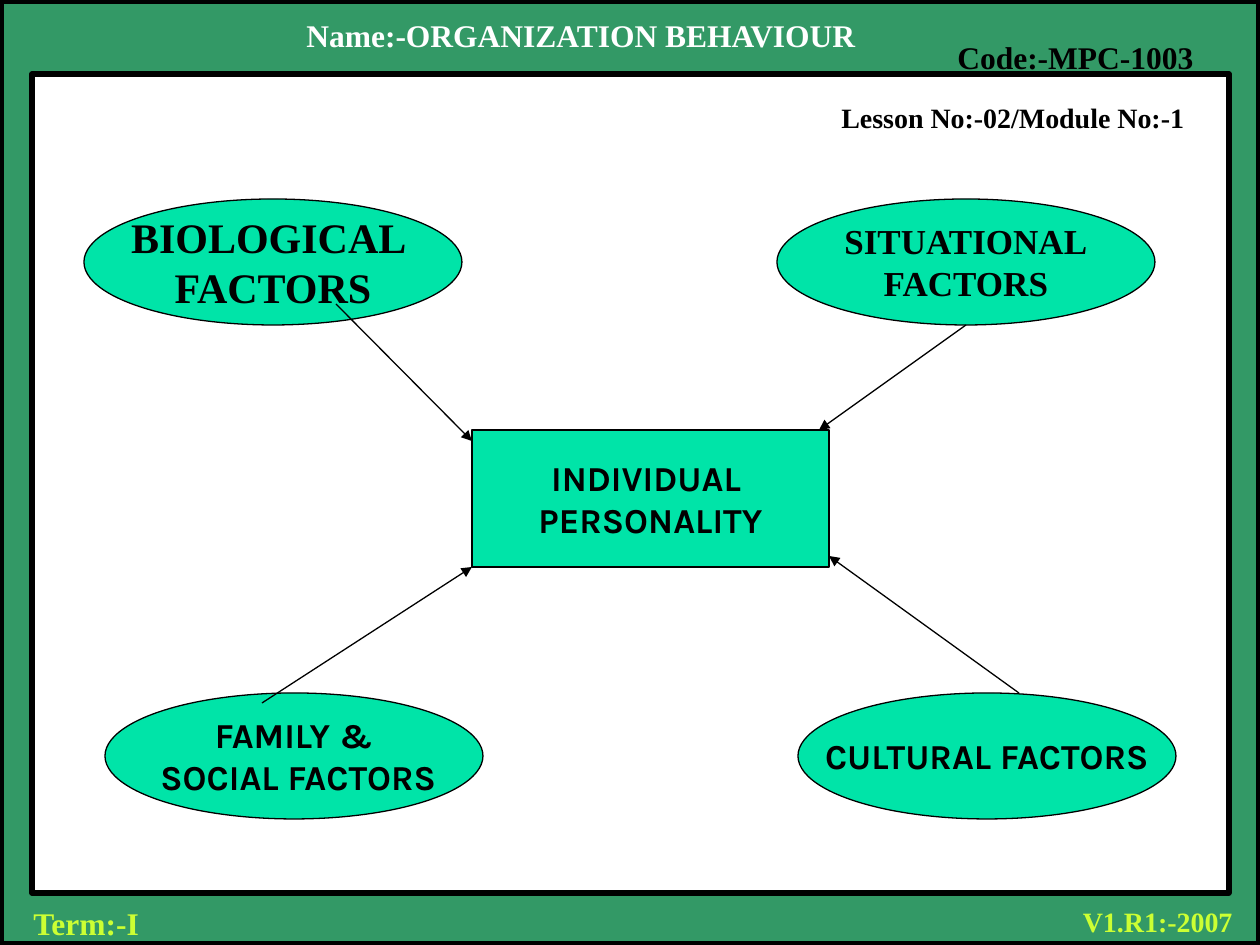
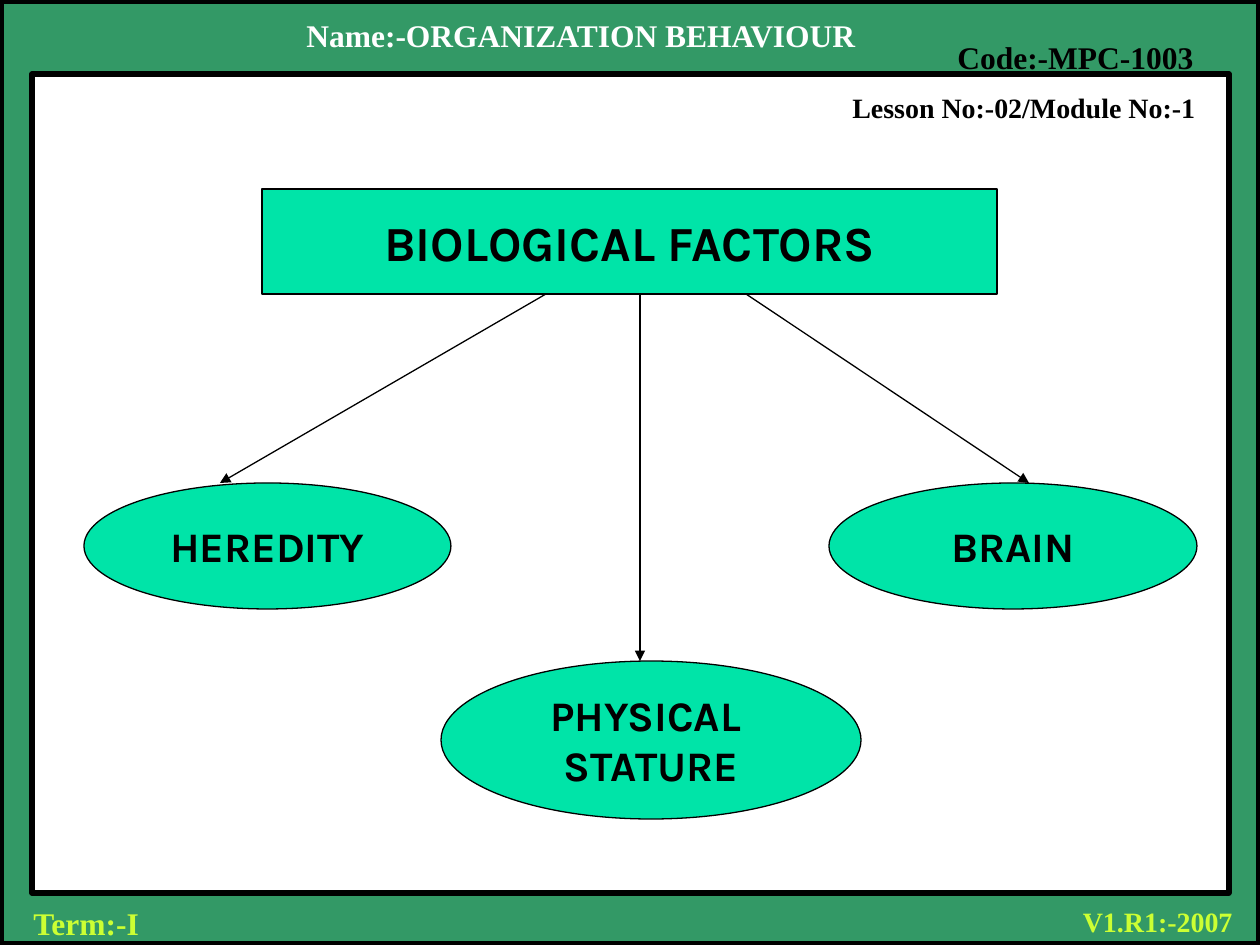
from lxml import etree
from pptx import Presentation
from pptx import util as u
from pptx.dml.color import RGBColor
from pptx.enum import shapes, text
from pptx.oxml.ns import qn

SERIF, SANS = "Times New Roman", "Karla"
GREEN, MINT, LIME = "339966", "00E4A8", "CCFF33"
BLACK, WHITE = "000000", "FFFFFF"
RECT, OVAL = shapes.MSO_SHAPE.RECTANGLE, shapes.MSO_SHAPE.OVAL
LEFT, CENTER, RIGHT = text.PP_ALIGN.LEFT, text.PP_ALIGN.CENTER, text.PP_ALIGN.RIGHT

# Shared labels: words, box in px, size, colour, alignment
LABELS = [
    ("Name:-ORGANIZATION BEHAVIOUR", (294, 10, 620, 50), 18, WHITE, LEFT),
    ("Code:-MPC-1003", (945, 32, 262, 50), 18, BLACK, LEFT),
    ("V1.R1:-2007", (966, 898, 279, 47), 16, LIME, RIGHT),
    ("Term:-I", (21, 898, 221, 47), 18, LIME, LEFT),
]
LESSON = "Lesson No:-02/Module No:-1"

# Nodes: lines, shape, box in px, size, font; arrows: start and end in px
SLIDES = [
    {
        "lesson": (829, 94, 378, 97),
        "nodes": [
            (["INDIVIDUAL ", "PERSONALITY"], RECT, (472, 430, 357, 137), 20, SANS),
            (["SITUATIONAL", "FACTORS"], OVAL, (777, 199, 378, 126), 20, SERIF),
            (["FAMILY &", " SOCIAL FACTORS"], OVAL, (105, 693, 378, 126), 20, SANS),
            (["CULTURAL FACTORS"], OVAL, (798, 693, 378, 126), 20, SANS),
            (["BIOLOGICAL ", "FACTORS"], OVAL, (84, 199, 378, 126), 24, SERIF),
        ],
        "arrows": [
            (336, 304, 472, 441), (262, 703, 472, 567),
            (1019, 693, 829, 556), (966, 325, 819, 430),
        ],
    },
    {
        "lesson": (840, 84, 420, 47),
        "nodes": [
            (["BIOLOGICAL FACTORS"], RECT, (262, 189, 735, 105), 28, SANS),
            (["HEREDITY"], OVAL, (84, 483, 367, 126), 24, SANS),
            (["PHYSICAL ", "STATURE"], OVAL, (441, 661, 420, 158), 24, SANS),
            (["BRAIN"], OVAL, (829, 483, 368, 126), 24, SANS),
        ],
        "arrows": [
            (546, 294, 220, 483), (640, 294, 640, 661), (746, 294, 1029, 483),
        ],
    },
]


def px(n):
    return u.Emu(round(n * 914400 / 126))


def color(value):
    return RGBColor.from_string(value)


def write(frame, lines, size, font, ink, align):
    frame.text = "\n".join(lines)
    for paragraph in frame.paragraphs:
        paragraph.alignment = align
        for run in paragraph.runs:
            run.font.size, run.font.name, run.font.bold = u.Pt(size), font, True
            run.font.color.rgb = color(ink)


def add_block(slide, kind, box, fill, weight):
    block = slide.shapes.add_shape(kind, *map(px, box))
    block.shadow.inherit = False
    block.fill.solid()
    block.fill.fore_color.rgb = color(fill)
    block.line.color.rgb = color(BLACK)
    block.line.width = u.Pt(weight)
    return block


def add_label(slide, words, box, size, ink, align):
    label = slide.shapes.add_textbox(*map(px, box))
    label.text_frame.word_wrap = True
    write(label.text_frame, [words], size, SERIF, ink, align)
    return label


def add_node(slide, lines, kind, box, size, font):
    frame = add_block(slide, kind, box, MINT, 0.75).text_frame
    frame.word_wrap = False
    frame.vertical_anchor = text.MSO_ANCHOR.MIDDLE
    write(frame, lines, size, font, BLACK, CENTER)


def add_arrow(slide, ends):
    arrow = slide.shapes.add_connector(shapes.MSO_CONNECTOR.STRAIGHT, *map(px, ends))
    arrow.line.color.rgb = color(BLACK)
    arrow.line.width = u.Pt(0.75)
    etree.SubElement(arrow.line._get_or_add_ln(), qn("a:tailEnd"), type="triangle")
    etree.SubElement(arrow._element.spPr, qn("a:effectLst"))


def add_frame(slide):
    """Green border, course labels and white panel."""
    add_block(slide, RECT, (0, 0, 1260, 945), GREEN, 4.5)
    for label in LABELS:
        add_label(slide, *label)
    add_block(slide, RECT, (32, 74, 1197, 819), WHITE, 3)


def main():
    deck = Presentation()
    deck.slide_width, deck.slide_height = px(1260), px(945)
    for content in SLIDES:
        slide = deck.slides.add_slide(deck.slide_layouts[6])
        add_frame(slide)
        add_label(slide, LESSON, content["lesson"], 16, BLACK, LEFT)
        for node in content["nodes"]:
            add_node(slide, *node)
        for ends in content["arrows"]:
            add_arrow(slide, ends)
    deck.save("out.pptx")


if __name__ == "__main__":
    main()
